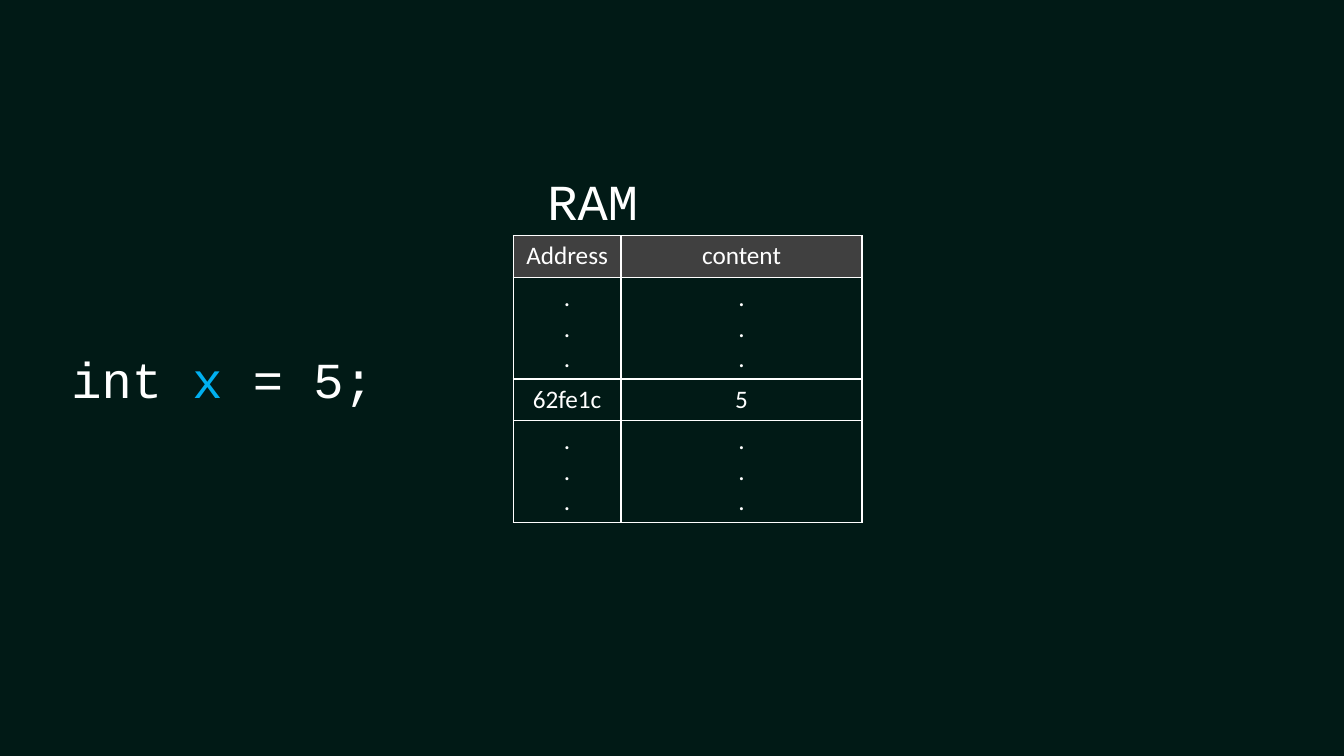
from dataclasses import dataclass

from lxml.etree import SubElement
from pptx import Presentation
from pptx.dml.color import RGBColor
from pptx.enum.text import MSO_AUTO_SIZE, PP_ALIGN
from pptx.oxml.ns import qn
from pptx.util import Inches, Pt


@dataclass(frozen=True)
class Theme:
    background: str = "011A16"
    text: str = "FFFFFF"
    variable: str = "00B0F0"
    header: str = "404040"
    code_font: str = "Courier New"
    table_font: str = "Calibri"
    code_size: int = 36
    table_size: int = 18
    border_width: int = 1


THEME = Theme()
DOTS = ".\n.\n."
MEMORY_ROWS = [
    ("Address", "content"),
    (DOTS, DOTS),
    ("62fe1c", "5"),
    (DOTS, DOTS),
]
COLUMN_WIDTHS = (1.07, 2.39)
LINE_HEIGHT = 0.3
ROW_PADDING = 0.11


def rgb(color):
    return RGBColor.from_string(color)


def style_font(font, name, size):
    font.name = name
    font.size = Pt(size)
    font.color.rgb = rgb(THEME.text)


def add_code(slide, left, top, parts):
    code = slide.shapes.add_textbox(Inches(left), Inches(top), Inches(6.67), Inches(0.71))
    frame = code.text_frame
    frame.word_wrap = True
    frame.auto_size = MSO_AUTO_SIZE.SHAPE_TO_FIT_TEXT
    statement = frame.paragraphs[0]
    style_font(statement.font, THEME.code_font, THEME.code_size)
    for wording, color in parts:
        token = statement.add_run()
        token.text = wording
        token.font.color.rgb = rgb(color)


def add_borders(cell):
    properties = cell._tc.get_or_add_tcPr()
    for position, side in enumerate(("a:lnL", "a:lnR", "a:lnT", "a:lnB")):
        border = properties.makeelement(qn(side), {"w": str(Pt(THEME.border_width))})
        fill = SubElement(border, qn("a:solidFill"))
        SubElement(fill, qn("a:srgbClr"), val=THEME.text)
        properties.insert(position, border)


def fill_cell(cell, wording, is_header):
    cell.text = wording
    for line in cell.text_frame.paragraphs:
        line.alignment = PP_ALIGN.CENTER
        style_font(line.font, THEME.table_font, THEME.table_size)
    if is_header:
        cell.fill.solid()
        cell.fill.fore_color.rgb = rgb(THEME.header)
    else:
        cell.fill.background()
    add_borders(cell)


def add_memory_table(slide, left, top):
    heights = [LINE_HEIGHT * len(row[0].split("\n")) + ROW_PADDING for row in MEMORY_ROWS]
    memory = slide.shapes.add_table(
        len(MEMORY_ROWS), len(COLUMN_WIDTHS), Inches(left), Inches(top),
        Inches(sum(COLUMN_WIDTHS)), Inches(sum(heights)),
    ).table
    memory.first_row = False
    memory.horz_banding = False
    for column, width in zip(memory.columns, COLUMN_WIDTHS):
        column.width = Inches(width)
    for index, (row, height) in enumerate(zip(MEMORY_ROWS, heights)):
        memory.rows[index].height = Inches(height)
        for cell, wording in zip(memory.rows[index].cells, row):
            fill_cell(cell, wording, index == 0)


def main():
    presentation = Presentation()
    presentation.slide_width = Inches(13.33)
    presentation.slide_height = Inches(7.5)
    slide = presentation.slides.add_slide(presentation.slide_layouts[6])
    slide.background.fill.solid()
    slide.background.fill.fore_color.rgb = rgb(THEME.background)

    add_code(slide, 0.61, 3.4, [
        ("int ", THEME.text), ("x ", THEME.variable), ("= 5;", THEME.text),
    ])
    add_memory_table(slide, 5.09, 2.34)
    add_code(slide, 5.33, 1.64, [("RAM", THEME.text)])
    presentation.save("out.pptx")


if __name__ == "__main__":
    main()
